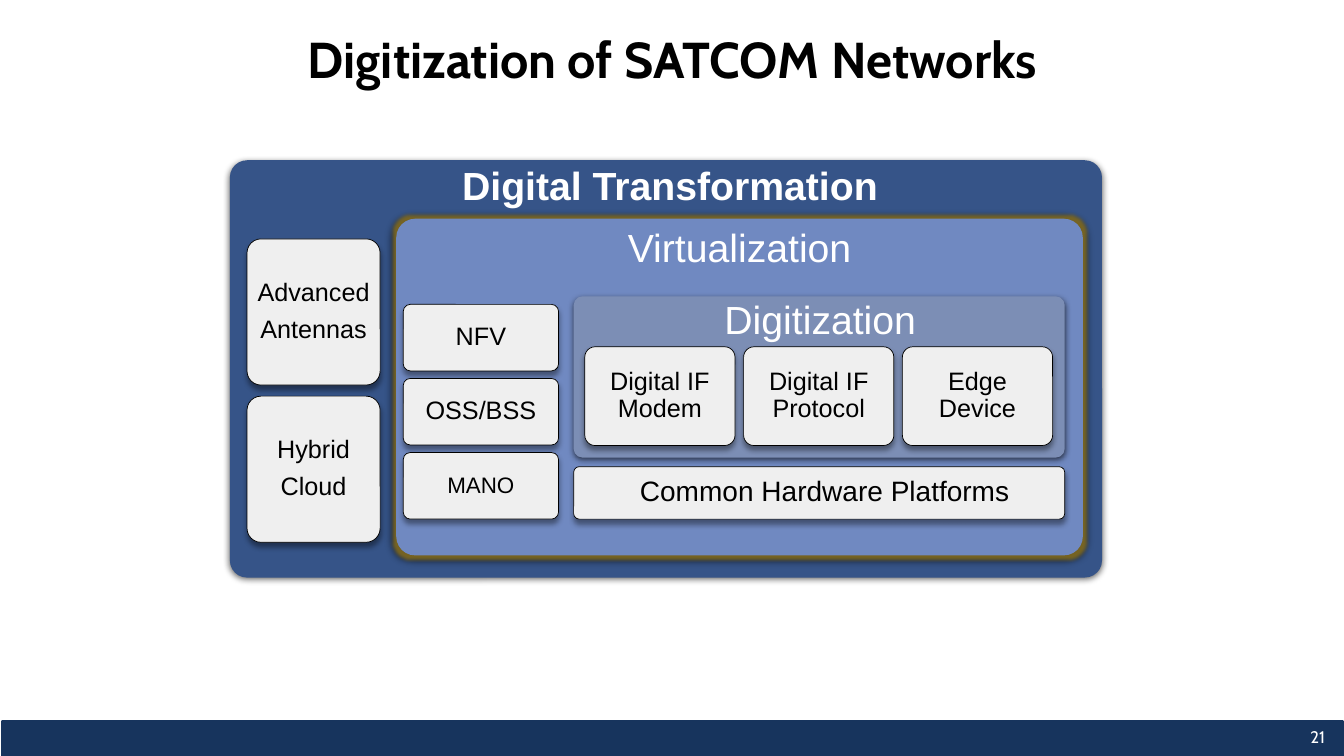
from dataclasses import dataclass

import lxml.etree
import pptx
import pptx.dml.color
import pptx.enum.shapes
import pptx.enum.text
import pptx.oxml.ns
import pptx.shapes.autoshape
import pptx.slide
import pptx.text.text
import pptx.util

Inches = pptx.util.Inches
Pt = pptx.util.Pt
RGBColor = pptx.dml.color.RGBColor
Shapes = pptx.enum.shapes.MSO_SHAPE
Align = pptx.enum.text.PP_ALIGN
Anchor = pptx.enum.text.MSO_ANCHOR
qn = pptx.oxml.ns.qn

BLACK = RGBColor(0x00, 0x00, 0x00)
WHITE = RGBColor(0xFF, 0xFF, 0xFF)
NAVY = RGBColor(0x17, 0x34, 0x5D)
DEEP_BLUE = RGBColor(0x36, 0x54, 0x88)
MID_BLUE = RGBColor(0x70, 0x89, 0xC1)
GREY_BLUE = RGBColor(0x7C, 0x8E, 0xB5)
CARD_GREY = RGBColor(0xEF, 0xEF, 0xEF)
GOLD = RGBColor(0x80, 0x6A, 0x20)


@dataclass(frozen=True)
class Panel:
    """A coloured area with its heading at the top."""
    heading: str
    left: float
    top: float
    width: float
    height: float
    rounding: float
    fill: RGBColor
    top_inset: float
    left_inset: float = 0
    bold: bool = False
    glow: bool = False


@dataclass(frozen=True)
class Card:
    """A light box with centred text, one paragraph for each line."""
    lines: tuple[str, ...]
    left: float
    top: float
    width: float
    height: float
    size: float = 18
    left_inset: float = 0.04


PANELS = [
    Panel("Digital Transformation", 2.28, 1.59, 8.65, 4.14, 0.041, DEEP_BLUE, 0.01,
          left_inset=0.08, bold=True),
    Panel("Virtualization", 3.93, 2.17, 6.81, 3.34, 0.056, MID_BLUE, 0.04, glow=True),
    Panel("Digitization", 5.69, 2.94, 4.87, 1.6, 0.055, GREY_BLUE, 0.02, left_inset=0.02),
]

ENABLERS = [("Advanced", "Antennas"), ("Hybrid", "Cloud")]
SERVICES = [("NFV", 18), ("OSS/BSS", 18), ("MANO", 16)]
DEVICES = ["Digital IF Modem", "Digital IF Protocol", "Edge Device"]

CARDS = [
    *(Card(lines, 2.45, 2.37 + 1.56 * row, 1.32, 1.45) for row, lines in enumerate(ENABLERS)),
    *(Card((name,), 4, 3.02 + 0.735 * row, 1.54, 0.66, size)
      for row, (name, size) in enumerate(SERVICES)),
    *(Card((name,), 5.8 + 1.575 * column, 3.44, 1.49, 0.98)
      for column, name in enumerate(DEVICES)),
    Card(("Common Hardware Platforms",), 5.69, 4.63, 4.87, 0.52, 20, left_inset=0.15),
]


def add_color(effect: lxml.etree._Element, color: RGBColor, opacity: int) -> None:
    shade = lxml.etree.SubElement(effect, qn("a:srgbClr"), val=str(color))
    lxml.etree.SubElement(shade, qn("a:alpha"), val=str(opacity * 1000))


def add_effects(shape: pptx.shapes.autoshape.Shape, blur: float, distance: float,
                opacity: int, glow: bool = False) -> None:
    """Give the shape a downward shadow and, if asked, a gold glow."""
    shape.shadow.inherit = False
    effects = shape.element.spPr.find(qn("a:effectLst"))
    if glow:
        add_color(lxml.etree.SubElement(effects, qn("a:glow"), rad=str(Pt(5))), GOLD, 90)
    shadow = lxml.etree.SubElement(
        effects, qn("a:outerShdw"), blurRad=str(Pt(blur)), dist=str(Pt(distance)),
        dir="5400000", algn="ctr", rotWithShape="0")
    add_color(shadow, BLACK, opacity)


def add_rounded(page: pptx.slide.Slide, item: Panel | Card, rounding: float,
                fill: RGBColor) -> pptx.shapes.autoshape.Shape:
    shape = page.shapes.add_shape(
        Shapes.ROUNDED_RECTANGLE, Inches(item.left), Inches(item.top),
        Inches(item.width), Inches(item.height))
    shape.adjustments[0] = rounding
    shape.fill.solid()
    shape.fill.fore_color.rgb = fill
    return shape


def set_insets(frame: pptx.text.text.TextFrame, left: float, top: float, right: float) -> None:
    frame.margin_left, frame.margin_top = Inches(left), Inches(top)
    frame.margin_right, frame.margin_bottom = Inches(right), 0


def write_lines(frame: pptx.text.text.TextFrame, lines: tuple[str, ...], size: float,
                color: RGBColor, font: str = "Arial", bold: bool = False,
                align: Align = Align.CENTER, anchor: Anchor = Anchor.MIDDLE) -> None:
    frame.word_wrap = True
    frame.vertical_anchor = anchor
    for index, line in enumerate(lines):
        para = frame.add_paragraph() if index else frame.paragraphs[0]
        para.text = line
        para.alignment = align
        para.line_spacing = 0.9
        if index:
            para.space_before = Pt(7)
        para.font.name = font
        para.font.size = Pt(size)
        para.font.bold = bold
        para.font.color.rgb = color


def draw_panel(page: pptx.slide.Slide, panel: Panel) -> None:
    shape = add_rounded(page, panel, panel.rounding, panel.fill)
    shape.line.fill.background()
    add_effects(shape, 4.5, 1.5, 63, panel.glow)
    set_insets(shape.text_frame, panel.left_inset, panel.top_inset, 0)
    write_lines(shape.text_frame, (panel.heading,), 28, WHITE, bold=panel.bold,
                anchor=Anchor.TOP)


def draw_card(page: pptx.slide.Slide, card: Card) -> None:
    shape = add_rounded(page, card, 0.105, CARD_GREY)
    shape.line.color.rgb = BLACK
    shape.line.width = Pt(0.5)
    add_effects(shape, 4, 3, 40)
    set_insets(shape.text_frame, card.left_inset, 0, 0.04)
    write_lines(shape.text_frame, card.lines, card.size, BLACK)


def draw_title_and_footer(page: pptx.slide.Slide) -> None:
    bar = page.shapes.add_shape(
        Shapes.RECTANGLE, Inches(0.02), Inches(7.16), Inches(13.3), Inches(0.36))
    bar.shadow.inherit = False
    bar.fill.solid()
    bar.fill.fore_color.rgb = NAVY
    bar.line.color.rgb = NAVY
    bar.line.width = Pt(2)

    number = page.shapes.add_textbox(Inches(12.52), Inches(7.12), Inches(0.72), Inches(0.4))
    write_lines(number.text_frame, ("21",), 12, WHITE, "Cabin", align=Align.RIGHT)

    title = page.shapes.add_textbox(Inches(0.92), Inches(0.3), Inches(11.5), Inches(0.63))
    write_lines(title.text_frame, ("Digitization of SATCOM Networks",), 36, BLACK, "Cabin",
                bold=True)


def main() -> None:
    deck = pptx.Presentation()
    deck.slide_width, deck.slide_height = Inches(13.33), Inches(7.5)
    page = deck.slides.add_slide(deck.slide_layouts[6])
    draw_title_and_footer(page)
    for panel in PANELS:
        draw_panel(page, panel)
    for card in CARDS:
        draw_card(page, card)
    deck.save("out.pptx")


if __name__ == "__main__":
    main()
